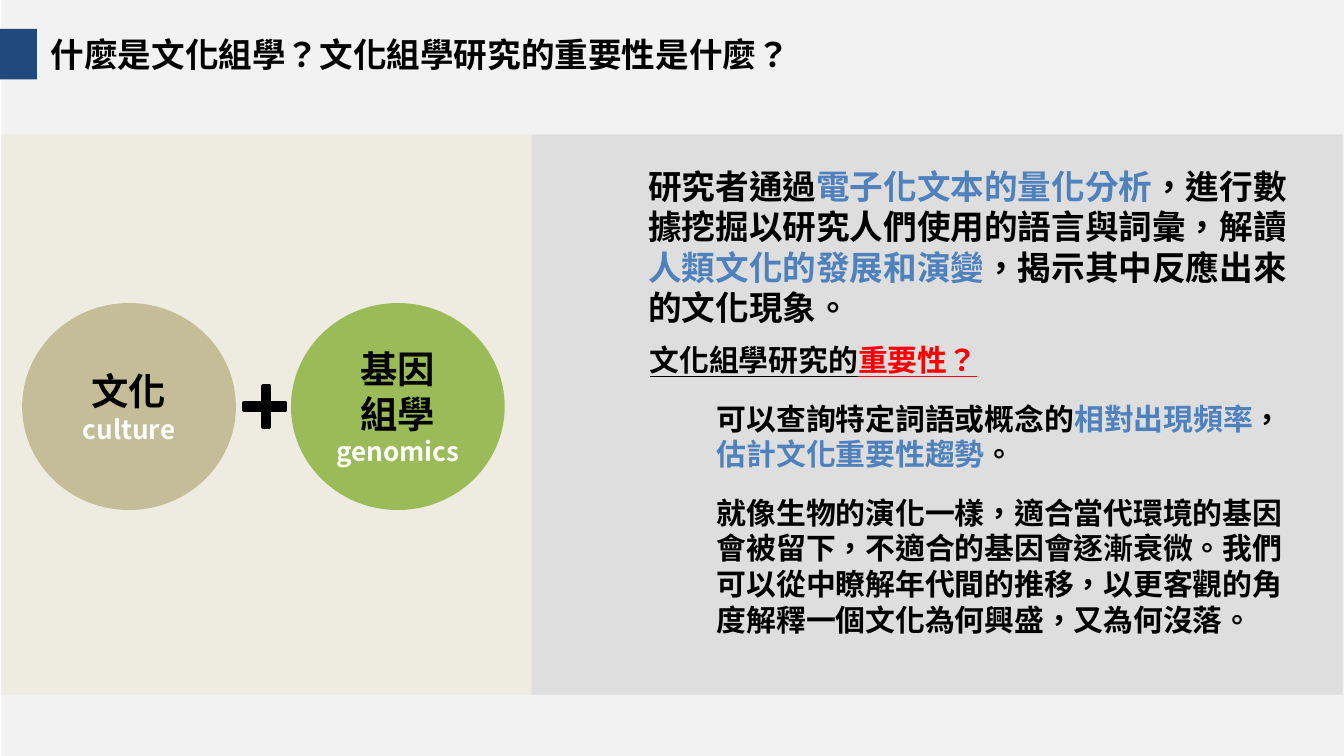
from dataclasses import dataclass

from pptx import Presentation
from pptx.dml.color import RGBColor
from pptx.enum.shapes import MSO_SHAPE
from pptx.enum.text import MSO_ANCHOR, MSO_AUTO_SIZE, PP_ALIGN
from pptx.oxml.ns import qn
from pptx.util import Pt
from lxml import etree

RECT, OVAL = MSO_SHAPE.RECTANGLE, MSO_SHAPE.OVAL
TOP, MIDDLE = MSO_ANCHOR.TOP, MSO_ANCHOR.MIDDLE
LEFT, CENTER = PP_ALIGN.LEFT, PP_ALIGN.CENTER
GROW = MSO_AUTO_SIZE.SHAPE_TO_FIT_TEXT
SCALE = 4572
FACE = "Noto Sans CJK SC"
BLACK, WHITE, BLUE, RED = "000000", "FFFFFF", "4F81BD", "FF0000"


@dataclass
class Run:
    text: str
    size: int = 16
    color: str = BLACK
    under: bool = False


@dataclass
class Para:
    runs: list[Run]
    level: int = 0
    indent: int = 0
    hang: int = 0
    gap: int = 0


@dataclass
class Block:
    box: tuple[int, int, int, int]
    paras: list[Para]
    wrap: bool = True


@dataclass
class Panel:
    box: tuple[int, int, int, int]
    fill: str
    kind: int = RECT
    edge: int = 0
    turn: int = 0
    alpha: int = 100
    paras: tuple[Para, ...] = ()


def px(value: int) -> int:
    return value * SCALE


def color(code: str) -> RGBColor:
    return RGBColor.from_string(code)


def write(frame, paras, align=LEFT, anchor=TOP, wrap=True) -> None:
    frame.word_wrap = wrap
    frame.vertical_anchor = anchor
    for pos, item in enumerate(paras):
        para = frame.paragraphs[0] if pos == 0 else frame.add_paragraph()
        form = {
            "alignment": align,
            "level": item.level,
            "line_spacing": Pt(round(item.runs[0].size * 1.2, 1)),
            "space_before": Pt(item.gap if pos else 0),
            "space_after": Pt(item.gap),
        }
        for key, value in form.items():
            setattr(para, key, value)
        props = para._p.get_or_add_pPr()
        props.set("marL", str(px(item.indent)))
        props.set("indent", str(px(item.hang)))
        for part in item.runs:
            run = para.add_run()
            run.text = part.text
            form = {"name": FACE, "size": Pt(part.size), "bold": True,
                    "underline": part.under}
            for key, value in form.items():
                setattr(run.font, key, value)
            run.font.color.rgb = color(part.color)
            props = run.font._element
            props.set("lang", "zh-TW")
            east = etree.SubElement(props, qn("a:ea"))
            east.set("typeface", FACE)


def draw_panel(slide, panel: Panel) -> None:
    shape = slide.shapes.add_shape(panel.kind, *map(px, panel.box))
    shape.shadow.inherit = False
    shape.rotation = panel.turn
    shape.fill.solid()
    shape.fill.fore_color.rgb = color(panel.fill)
    if panel.alpha < 100:
        tint = shape._element.spPr.find(".//" + qn("a:srgbClr"))
        alpha = etree.SubElement(tint, qn("a:alpha"))
        alpha.set("val", str(panel.alpha * 1000))
    if panel.edge:
        shape.line.color.rgb = color(panel.fill)
        shape.line.width = Pt(panel.edge)
    else:
        shape.line.fill.background()
    if panel.paras:
        write(shape.text_frame, panel.paras, CENTER, MIDDLE)


def draw_block(slide, block: Block) -> None:
    shape = slide.shapes.add_textbox(*map(px, block.box))
    write(shape.text_frame, block.paras, wrap=block.wrap)
    shape.text_frame.auto_size = GROW


def disc(left: int, fill: str, words: list[str], gloss: str) -> Panel:
    runs = [Run(word, 20) for word in words] + [Run(gloss, 14, WHITE)]
    paras = tuple(Para([run]) for run in runs)
    return Panel((left, 451, 318, 308), fill, OVAL, paras=paras)


PANELS = [
    Panel((2, 0, 1998, 1125), "F2F2F2"),
    Panel((0, 43, 55, 75), "1F497D"),
    Panel((2, 200, 789, 834), "EEECE1"),
    disc(33, "C4BD97", ["文化"], "culture"),
    disc(433, "9BBB59", ["基因", "組學"], "genomics"),
    Panel((363, 600, 62, 10), BLACK, edge=2),
    Panel((366, 600, 60, 10), BLACK, edge=2, turn=90),
    Panel((791, 200, 1207, 834), "D9D9D9", alpha=80),
]

BLOCKS = [
    Block((56, 40, 1108, 80),
          [Para([Run("什麼是文化組學？文化組學研究的重要性是什麼？", 18)])],
          wrap=False),
    Block((947, 499, 1000, 464), [
        Para([Run("文化組學研究的", under=True),
              Run("重要性？", color=RED, under=True)],
             indent=40, hang=-40, gap=6),
        Para([Run("可以查詢特定詞語或概念的"),
              Run("相對出現頻率", color=BLUE),
              Run("，"),
              Run("估計文化重要性趨勢", color=BLUE),
              Run("。")], level=1, indent=100, gap=6),
        Para([Run("就像生物的演化一樣，適合當代環境的基因會被留下，"
                  "不適合的基因會逐漸衰微。我們可以從中瞭解年代間的推移，"
                  "以更客觀的角度解釋一個文化為何興盛，又為何沒落。")],
             level=1, indent=100, gap=6),
    ]),
    Block((945, 237, 1000, 262), [
        Para([Run("研究者通過", 18),
              Run("電子化文本的量化分析", 18, BLUE),
              Run("，進行數據挖掘以研究人們使用的語言與詞彙，解讀", 18),
              Run("人類文化的發展和演變", 18, BLUE),
              Run("，揭示其中反應出來的文化現象。", 18)], gap=6),
    ]),
]


def main() -> None:
    deck = Presentation()
    deck.slide_width, deck.slide_height = px(2000), px(1125)
    slide = deck.slides.add_slide(deck.slide_layouts[6])
    for panel in PANELS:
        draw_panel(slide, panel)
    for block in BLOCKS:
        draw_block(slide, block)
    deck.save("out.pptx")


if __name__ == "__main__":
    main()
